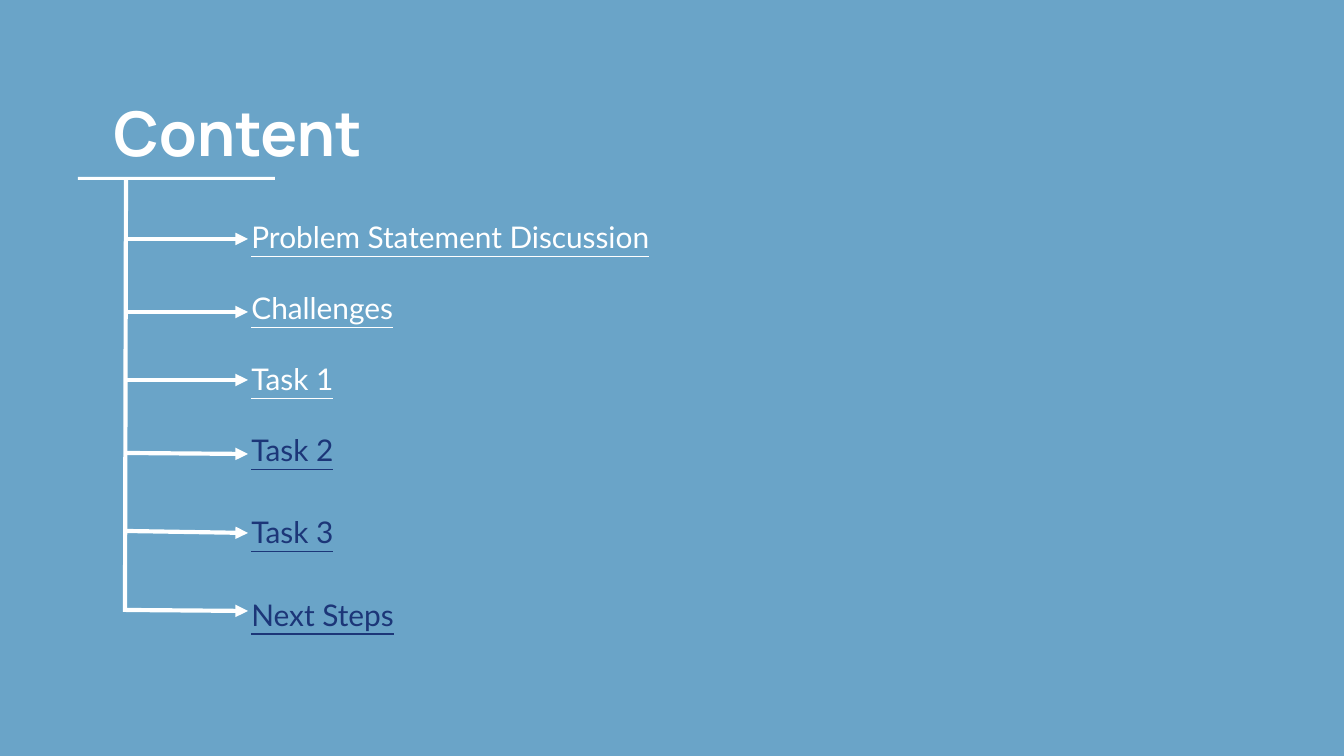
from dataclasses import dataclass
from typing import Any

import pptx
import pptx.dml.color
import pptx.enum.shapes
import pptx.enum.text
import pptx.oxml
import pptx.oxml.ns
import pptx.util

EMU_PER_PX = 914400 / 134.4


@dataclass(frozen=True)
class Theme:
    background: str = "6AA4C8"
    light: str = "FFFFFF"
    dark: str = "1C3678"
    title_font: str = "Manrope"
    body_font: str = "Lato"
    title_pt: int = 33
    body_pt: int = 16
    line_pt: float = 2.25


@dataclass(frozen=True)
class Topic:
    label: str
    color: str
    space_pt: int
    start_y: int
    end_y: int


THEME = Theme()
TOPICS = [
    Topic("Problem Statement Discussion", THEME.light, 0, 239, 239),
    Topic("Challenges", THEME.light, 16, 312, 312),
    Topic("Task 1", THEME.light, 16, 380, 380),
    Topic("Task 2", THEME.dark, 16, 453, 454),
    Topic("Task 3", THEME.dark, 22, 531, 533),
    Topic("Next Steps", THEME.dark, 22, 610, 611),
]
BRANCH_LEFT, BRANCH_RIGHT = 126, 248


def px(length: int) -> pptx.util.Emu:
    return pptx.util.Emu(round(length * EMU_PER_PX))


def rgb(value: str) -> pptx.dml.color.RGBColor:
    return pptx.dml.color.RGBColor.from_string(value)


def apply_format(target: Any, values: dict[str, Any]) -> None:
    for name, value in values.items():
        setattr(target, name, value)


def place(placeholder: Any, left: int, top: int, width: int, height: int) -> Any:
    """Move a placeholder and return its text frame, set to start at the top."""
    apply_format(placeholder, {"left": px(left), "top": px(top),
                               "width": px(width), "height": px(height)})
    inset = pptx.util.Inches(0.1)
    apply_format(placeholder.text_frame, {
        "margin_left": inset, "margin_right": inset,
        "margin_top": inset, "margin_bottom": inset,
        "word_wrap": True,
        "auto_size": pptx.enum.text.MSO_AUTO_SIZE.NONE,
        "vertical_anchor": pptx.enum.text.MSO_ANCHOR.TOP,
    })
    return placeholder.text_frame


def write(paragraph: Any, text: str, color: str, font: dict[str, Any],
          spacing: dict[str, Any]) -> None:
    run = paragraph.add_run()
    run.text = text
    apply_format(run.font, font)
    run.font.color.rgb = rgb(color)
    apply_format(paragraph, {"alignment": pptx.enum.text.PP_ALIGN.LEFT, **spacing})


def draw_line(slide: Any, start: tuple[int, int], end: tuple[int, int],
              arrow: bool = False) -> None:
    connector = slide.shapes.add_connector(
        pptx.enum.shapes.MSO_CONNECTOR.STRAIGHT, *map(px, start + end))
    connector.line.color.rgb = rgb(THEME.light)
    connector.line.width = pptx.util.Pt(THEME.line_pt)
    properties = connector.element.spPr
    namespace = pptx.oxml.ns.nsdecls("a")
    if arrow:
        properties.find(pptx.oxml.ns.qn("a:ln")).append(
            pptx.oxml.parse_xml(f'<a:tailEnd {namespace} type="triangle"/>'))
    properties.append(pptx.oxml.parse_xml(f"<a:effectLst {namespace}/>"))


def draw_title_rule(slide: Any) -> None:
    rule = slide.shapes.add_shape(
        pptx.enum.shapes.MSO_SHAPE.RECTANGLE, px(78), px(177), px(197), px(3))
    rule.shadow.inherit = False
    rule.fill.solid()
    rule.fill.fore_color.rgb = rgb(THEME.light)
    rule.line.fill.background()


def main() -> None:
    presentation = pptx.Presentation()
    presentation.slide_width, presentation.slide_height = px(1344), px(756)
    slide = presentation.slides.add_slide(presentation.slide_layouts[0])
    slide.background.fill.solid()
    slide.background.fill.fore_color.rgb = rgb(THEME.background)

    draw_title_rule(slide)
    heading = place(slide.shapes.title, 100, 81, 420, 223)
    write(heading.paragraphs[0], "Content", THEME.light,
          {"name": THEME.title_font, "size": pptx.util.Pt(THEME.title_pt), "bold": True},
          {"space_before": pptx.util.Pt(0)})

    agenda = place(slide.placeholders[1], 238, 200, 600, 456)
    topic_font = {"name": THEME.body_font, "size": pptx.util.Pt(THEME.body_pt),
                  "underline": True}
    for index, topic in enumerate(TOPICS):
        paragraph = agenda.add_paragraph() if index else agenda.paragraphs[0]
        write(paragraph, topic.label, topic.color, topic_font,
              {"line_spacing": 1.15, "space_before": pptx.util.Pt(topic.space_pt)})

    draw_line(slide, (BRANCH_LEFT, 178), (BRANCH_LEFT - 1, 612))
    for topic in TOPICS:
        draw_line(slide, (BRANCH_LEFT, topic.start_y), (BRANCH_RIGHT, topic.end_y),
                  arrow=True)

    presentation.save("out.pptx")


if __name__ == "__main__":
    main()
